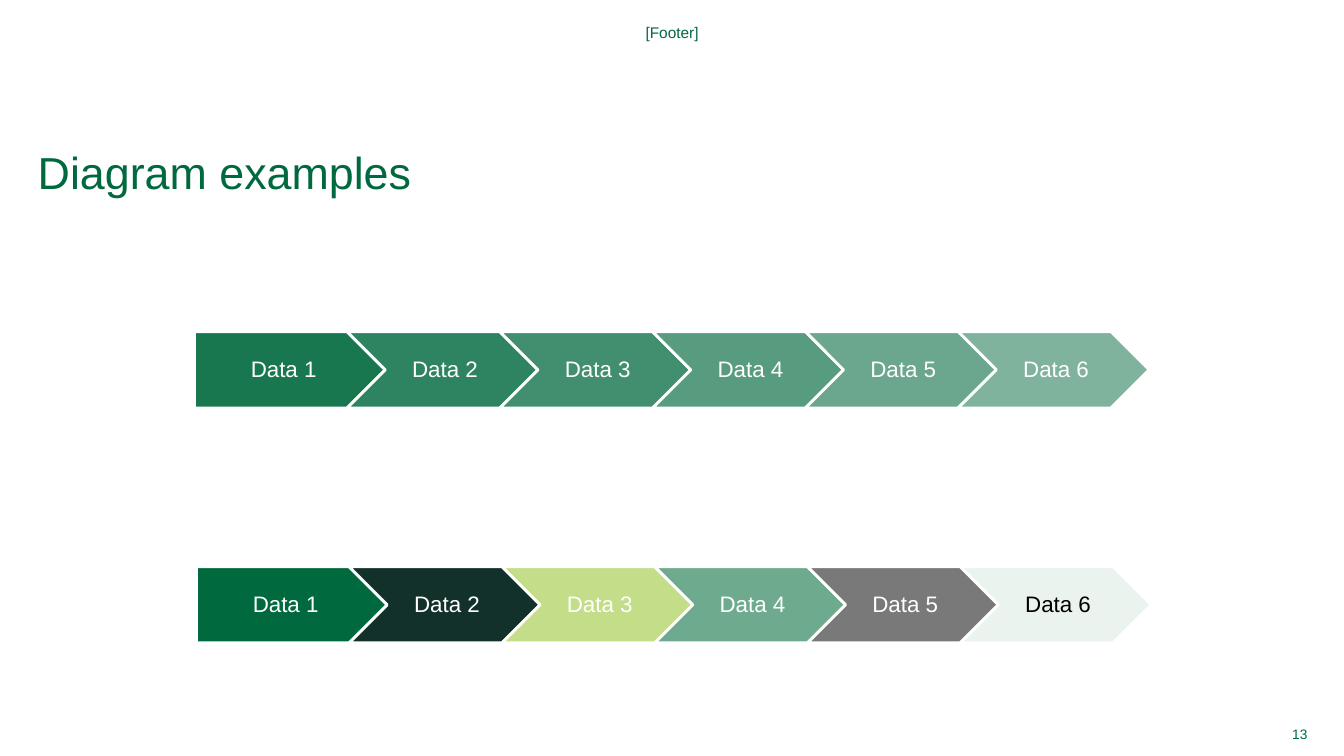
"""Build a slide with two six-step chevron processes, one tinted and one multicoloured."""
from lxml import etree
from pptx import Presentation
from pptx.dml.color import RGBColor
from pptx.enum.shapes import MSO_SHAPE
from pptx.enum.text import MSO_ANCHOR, MSO_AUTO_SIZE, PP_ALIGN
from pptx.oxml.ns import qn
from pptx.util import Cm, Pt

PENTAGON, CHEVRON = MSO_SHAPE.PENTAGON, MSO_SHAPE.CHEVRON
TOP, MIDDLE = MSO_ANCHOR.TOP, MSO_ANCHOR.MIDDLE
LEFT, CENTER, RIGHT = PP_ALIGN.LEFT, PP_ALIGN.CENTER, PP_ALIGN.RIGHT
NO_FIT = MSO_AUTO_SIZE.NONE

FONT = "Arial"
GREEN, WHITE, BLACK = "00693E", "FFFFFF", "000000"
TITLE_ONLY = 5

TITLE = "Diagram examples"
STEPS = ["Data 1", "Data 2", "Data 3", "Data 4", "Data 5", "Data 6"]
PROCESSES = [
    {
        "left": 4.9,
        "top": 8.36,
        "fills": [(GREEN, opacity, WHITE) for opacity in range(90, 49, -8)],
    },
    {
        "left": 4.95,
        "top": 14.28,
        "fills": [
            (GREEN, 100, WHITE),
            ("12312B", 100, WHITE),
            ("C3DD88", 100, WHITE),
            ("6EAA8D", 100, WHITE),
            ("797979", 100, WHITE),
            ("EBF3EF", 100, BLACK),
        ],
    },
]
MARGIN_TEXTS = [
    ("[Footer]", (6.63, 0.52, 20.62, 0.6), 11, CENTER),
    ("13", (31.5, 18.2, 1.45, 0.6), 9.8, RIGHT),
]

STEP_WIDTH, STEP_HEIGHT = 4.81, 1.92
STEP_PITCH = STEP_WIDTH - STEP_HEIGHT / 2


def color(hex_string):
    return RGBColor.from_string(hex_string)


def write(frame, text, size, text_color, align, anchor, insets=(0, 0, 0, 0)):
    frame.word_wrap = True
    frame.auto_size = NO_FIT
    frame.vertical_anchor = anchor
    frame.margin_left, frame.margin_top, frame.margin_right, frame.margin_bottom = map(Cm, insets)
    paragraph = frame.paragraphs[0]
    paragraph.text = text
    paragraph.alignment = align
    paragraph.font.name = FONT
    paragraph.font.size = Pt(size)
    paragraph.font.color.rgb = color(text_color)
    return paragraph


def add_step(group, index, process):
    fill_color, opacity, text_color = process["fills"][index]
    step = group.shapes.add_shape(
        CHEVRON if index else PENTAGON,
        Cm(process["left"] + index * STEP_PITCH),
        Cm(process["top"]),
        Cm(STEP_WIDTH),
        Cm(STEP_HEIGHT),
    )
    step.shadow.inherit = False
    step.fill.solid()
    step.fill.fore_color.rgb = color(fill_color)
    if opacity < 100:
        rgb = step.fill._xPr.find(qn("a:solidFill")).find(qn("a:srgbClr"))
        etree.SubElement(rgb, qn("a:alpha")).set("val", str(opacity * 1000))
    step.line.color.rgb = color(WHITE)
    step.line.width = Pt(2)
    insets = (0.18 if index else 0.23, 0.12, 0.06, 0.12)
    label = write(step.text_frame, STEPS[index], 16, text_color, CENTER, MIDDLE, insets)
    label.line_spacing = 0.9


def main():
    deck = Presentation()
    deck.slide_width, deck.slide_height = Cm(33.87), Cm(19.05)
    slide = deck.slides.add_slide(deck.slide_layouts[TITLE_ONLY])

    title = slide.shapes.title
    title.left, title.top, title.width, title.height = map(Cm, (0.95, 3.85, 32.08, 2.57))
    write(title.text_frame, TITLE, 32, GREEN, LEFT, TOP).line_spacing = 0.85

    for process in PROCESSES:
        group = slide.shapes.add_group_shape()
        for index in range(len(STEPS)):
            add_step(group, index, process)

    for text, box, size, align in MARGIN_TEXTS:
        margin_text = slide.shapes.add_textbox(*map(Cm, box))
        write(margin_text.text_frame, text, size, GREEN, align, MIDDLE)

    deck.save("out.pptx")


if __name__ == "__main__":
    main()
